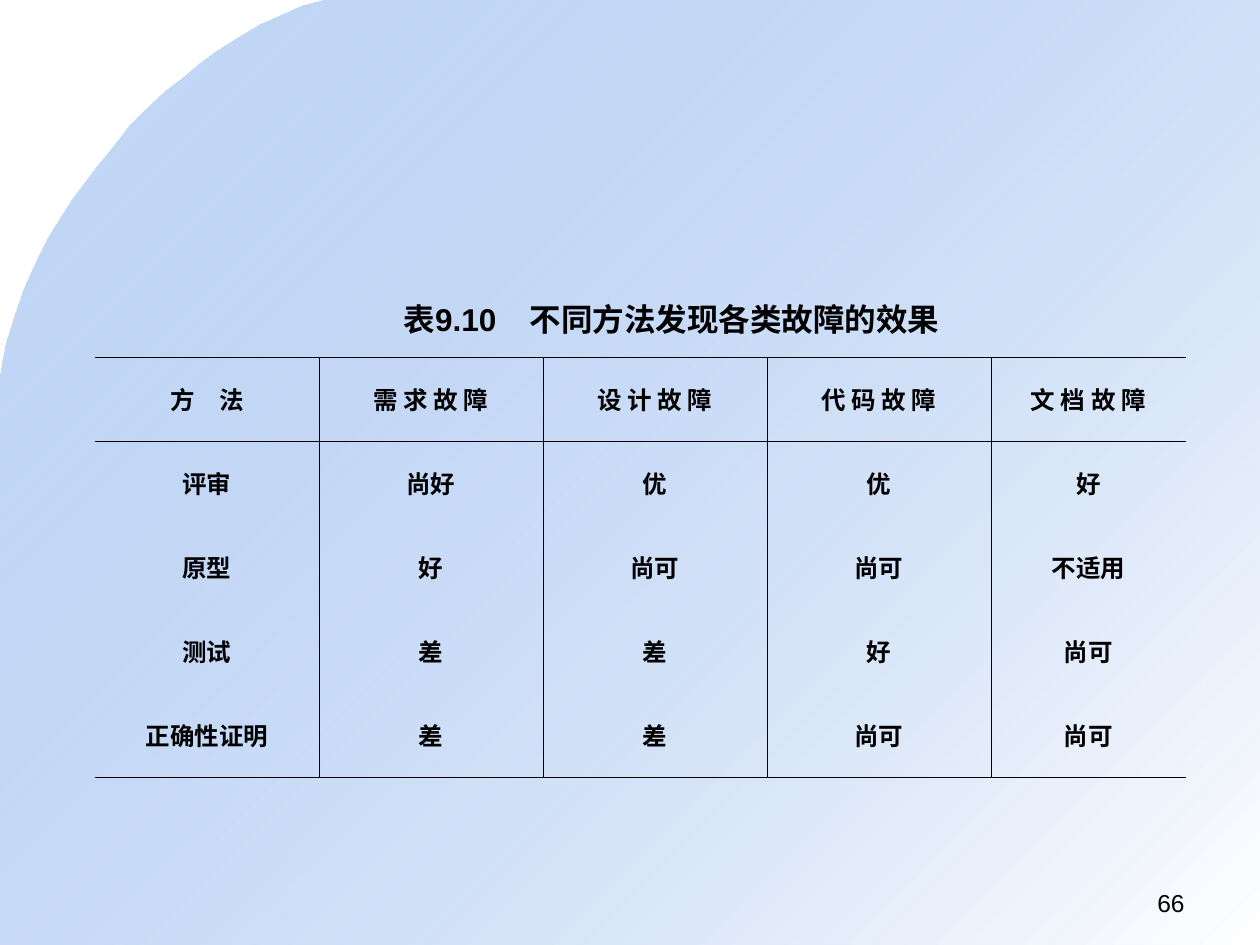
from lxml import etree
from pptx import Presentation
from pptx.dml.color import RGBColor
from pptx.enum.text import MSO_ANCHOR, MSO_AUTO_SIZE, PP_ALIGN
from pptx.oxml.ns import qn
from pptx.util import Inches, Pt

LEFT, CENTER, RIGHT = PP_ALIGN.LEFT, PP_ALIGN.CENTER, PP_ALIGN.RIGHT
TOP, MIDDLE = MSO_ANCHOR.TOP, MSO_ANCHOR.MIDDLE
NO_AUTOSIZE = MSO_AUTO_SIZE.NONE
TITLE_ONLY = 5
PX = Inches(1) / 126
WIDTH, HEIGHT = 1260, 945
COLORS = {"text": "000000", "rule": "000000", "sky": "699DE9", "white": "FFFFFF"}
PLAIN_TABLE = "{2D5ABB26-0587-4C30-8999-92F81FD0307C}"

# Curved edge of the backdrop: start, then cubic segments
EDGE_START = (325, 0)
EDGE_CURVES = [
    [(239, 20), (146, 105), (123, 135)],
    [(101, 166), (20, 244), (0, 379)],
]
EDGE_STEPS = 12

FAULT_TABLE = [
    ["方　法", "需 求 故 障", "设 计 故 障", "代 码 故 障", "文 档 故 障"],
    ["评审", "尚好", "优", "优", "好"],
    ["原型", "好", "尚可", "尚可", "不适用"],
    ["测试", "差", "差", "好", "尚可"],
    ["正确性证明", "差", "差", "尚可", "尚可"],
]


def px(length):
    return round(length * PX)


def cubic(start, first, second, end, t):
    u = 1 - t
    return tuple(u**3 * a + 3 * u * u * t * b + 3 * u * t * t * c + t**3 * d
                 for a, b, c, d in zip(start, first, second, end))


class SlideBuilder:
    def __init__(self, slide):
        self.slide = slide

    def style(self, paragraph, size, font, bold=False, align=LEFT):
        paragraph.alignment = align
        paragraph.font.size = Pt(size)
        paragraph.font.name = font
        paragraph.font.bold = bold
        paragraph.font.color.rgb = RGBColor.from_string(COLORS["text"])

    def place(self, shape, left, top, width, height):
        shape.left, shape.top = px(left), px(top)
        shape.width, shape.height = px(width), px(height)

    def backdrop(self):
        points, start = [], EDGE_START
        for curve in EDGE_CURVES:
            points += [cubic(start, *curve, step / EDGE_STEPS)
                       for step in range(1, EDGE_STEPS + 1)]
            start = curve[-1]
        points += [(0, HEIGHT), (WIDTH, HEIGHT), (WIDTH, 0)]
        builder = self.slide.shapes.build_freeform(*EDGE_START, scale=PX)
        builder.add_line_segments(points, close=True)
        shape = builder.convert_to_shape()
        shape.shadow.inherit = False
        shape.line.fill.background()
        shape.fill.gradient()
        shape.fill.gradient_angle = 315
        for stop, color, position in zip(shape.fill.gradient_stops, ("sky", "white"), (0, 1)):
            stop.color.rgb = RGBColor.from_string(COLORS[color])
            stop.position = position
        sky = next(shape.element.iter(qn("a:srgbClr")))
        etree.SubElement(sky, qn("a:alpha"), val="39000")

    def title(self, text, left, top, width, height, tab):
        title = self.slide.shapes.title
        self.place(title, left, top, width, height)
        frame = title.text_frame
        frame.text = text
        frame.word_wrap = False
        frame.auto_size = NO_AUTOSIZE
        frame.vertical_anchor = TOP
        paragraph = frame.paragraphs[0]
        tabs = etree.SubElement(paragraph._p.get_or_add_pPr(), qn("a:tabLst"))
        etree.SubElement(tabs, qn("a:tab"), pos=str(px(tab)), algn="l")
        self.style(paragraph, 18, "Arial", bold=True)

    def page_number(self, text, left, top, width, height):
        box = self.slide.shapes.add_textbox(*map(px, (left, top, width, height)))
        box.text_frame.word_wrap = True
        box.text_frame.text = text
        self.style(box.text_frame.paragraphs[0], 14, "Arial", align=RIGHT)

    def borders(self, cell, visible):
        properties = cell._tc.get_or_add_tcPr()
        for side in "LRTB":
            line = etree.SubElement(properties, qn(f"a:ln{side}"), w=str(Pt(0.45)))
            if side in visible:
                fill = etree.SubElement(line, qn("a:solidFill"))
                etree.SubElement(fill, qn("a:srgbClr"), val=COLORS["rule"])
            else:
                etree.SubElement(line, qn("a:noFill"))

    def table(self, rows, left, top, column_widths, row_height):
        frame = self.slide.shapes.add_table(
            len(rows), len(column_widths), px(left), px(top),
            px(sum(column_widths)), px(row_height * len(rows)))
        table = frame.table
        table.first_row = table.horz_banding = False
        next(frame.element.iter(qn("a:tableStyleId"))).text = PLAIN_TABLE
        for column, width in zip(table.columns, column_widths):
            column.width = px(width)
        last_row, last_column = len(rows) - 1, len(column_widths) - 1
        for r, row in enumerate(rows):
            table.rows[r].height = px(row_height)
            for c, text in enumerate(row):
                cell = table.cell(r, c)
                cell.text = text
                cell.vertical_anchor = MIDDLE
                # Rules between columns, around the header and at the foot
                visible = ("L" if c > 0 else "") + ("R" if c < last_column else "")
                visible += ("T" if r <= 1 else "") + ("B" if r in (0, last_row) else "")
                self.borders(cell, visible)
                cell.fill.background()
                self.style(cell.text_frame.paragraphs[0], 14, "Times New Roman",
                           bold=True, align=CENTER)


def main():
    deck = Presentation()
    deck.slide_width, deck.slide_height = px(WIDTH), px(HEIGHT)
    builder = SlideBuilder(deck.slides.add_slide(deck.slide_layouts[TITLE_ONLY]))
    # The backdrop sits behind everything else
    builder.backdrop()
    backdrop = builder.slide.shapes[-1].element
    builder.slide.shapes.title.element.addprevious(backdrop)
    # Table with its caption, and the page number
    builder.table(FAULT_TABLE, 95, 357, [224] * 4 + [195], 84)
    builder.title("表9.10\t不同方法发现各类故障的效果", 391, 294, 561, 50, tab=126)
    builder.page_number("66", 903, 882, 294, 44)
    deck.save("out.pptx")


if __name__ == "__main__":
    main()
